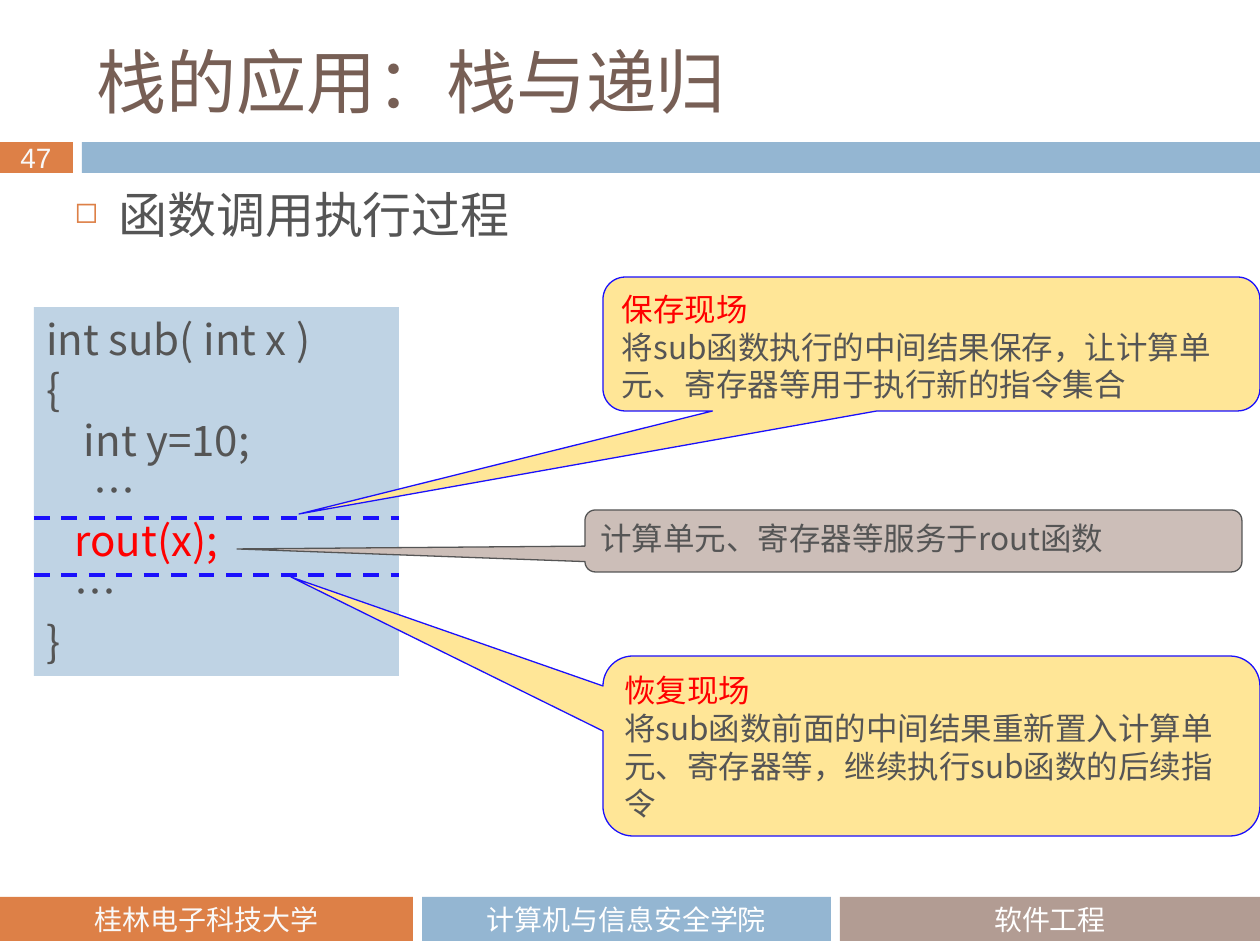
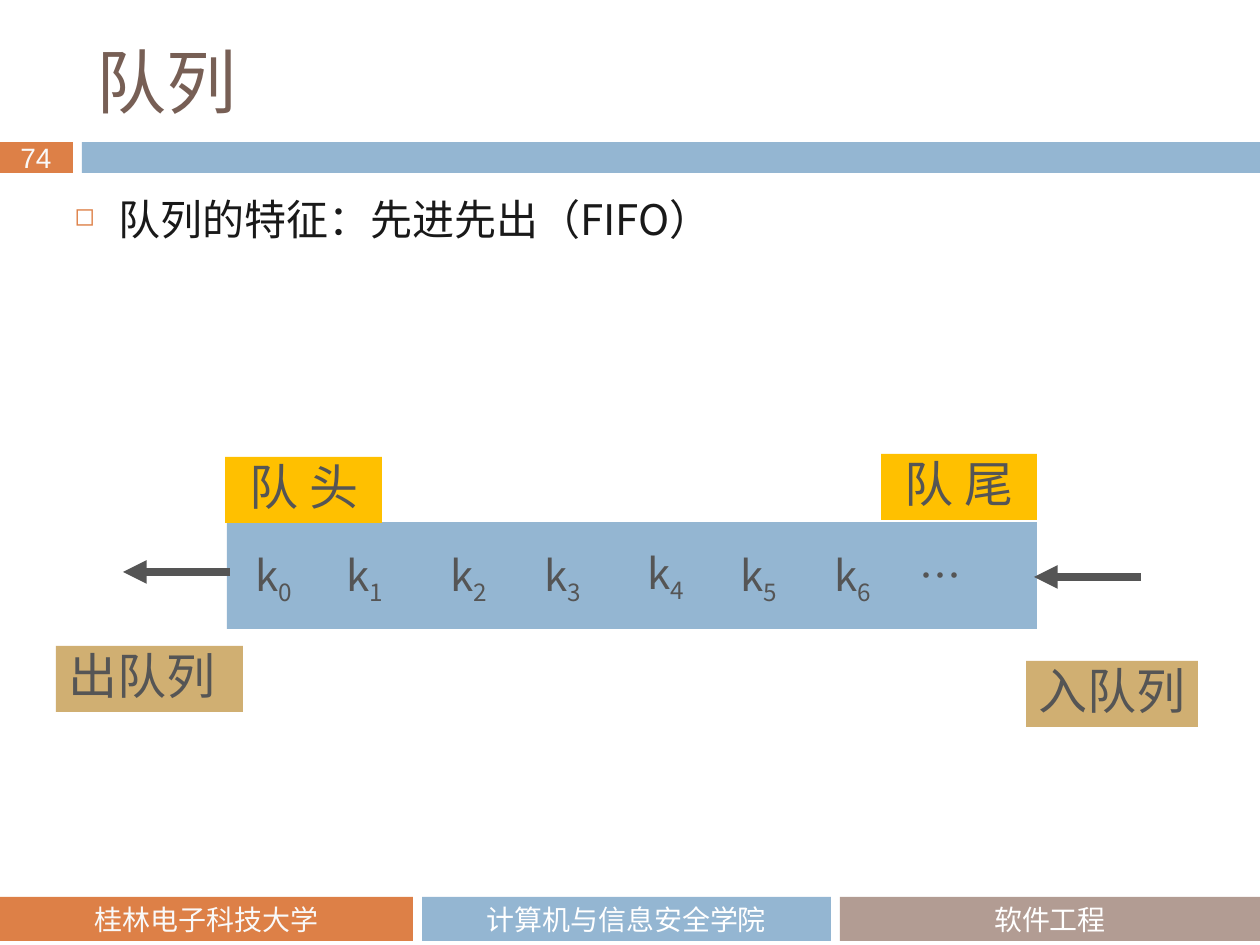
from lxml import etree
from pptx import Presentation
from pptx.dml.color import RGBColor
from pptx.enum.dml import MSO_LINE
from pptx.enum.shapes import MSO_CONNECTOR, MSO_SHAPE
from pptx.enum.text import MSO_ANCHOR, PP_ALIGN
from pptx.oxml.ns import qn
from pptx.util import Emu, Pt

# Shared style
ORANGE = RGBColor(0xDD, 0x80, 0x47)
BLUE = RGBColor(0x94, 0xB6, 0xD2)
PALE_BLUE = RGBColor(0xBF, 0xD3, 0xE4)
TAUPE = RGBColor(0xB2, 0x9C, 0x93)
PALE_TAUPE = RGBColor(0xCC, 0xBE, 0xB8)
BROWN = RGBColor(0x77, 0x5F, 0x55)
YELLOW = RGBColor(0xFF, 0xE6, 0x97)
GOLD = RGBColor(0xFF, 0xC0, 0x00)
SAND = RGBColor(0xD0, 0xAF, 0x72)
INK_BLUE = RGBColor(0x1B, 0x10, 0xFC)
RED = RGBColor(0xFF, 0x00, 0x00)
GREY = RGBColor(0x55, 0x55, 0x55)
BLACK = RGBColor(0x19, 0x19, 0x19)
WHITE = RGBColor(0xFF, 0xFF, 0xFF)
OFF_WHITE = RGBColor(0xF9, 0xF9, 0xF9)

BODY_FONT = "Noto Sans CJK SC"
TITLE_FONT = "Noto Sans CJK JP"
FOOTER_FONT = "Calibri"
NUMBER_FONT = "Arial"

SLIDE_WIDTH, SLIDE_HEIGHT = 1260, 945
EMU_PER_PX = 914400 / 126

# Shared content: left, width, fill, text, text colour
FOOTERS = [
    (0, 413, ORANGE, "桂林电子科技大学", OFF_WHITE),
    (422, 409, BLUE, "计算机与信息安全学院", WHITE),
    (840, 420, TAUPE, "软件工程", WHITE),
]

# Recursion slide
CODE_LINES = [
    ("int sub( int x )", GREY),
    ("{", GREY),
    ("    int y=10;", GREY),
    ("     …", GREY),
    ("   rout(x);", RED),
    ("   …", GREY),
    ("}", GREY),
]
CODE_BOX = (34, 307, 365, 369)
CALL_BOUNDARIES = [518, 575]
# Box, pointer tip, fill, line, paragraphs
CALLOUTS = [
    ((603, 277, 657, 134), (299, 514), YELLOW, INK_BLUE,
     [("保存现场", RED),
      ("将sub函数执行的中间结果保存，让计算单元、寄存器等用于执行新的指令集合", GREY)]),
    ((603, 656, 657, 180), (291, 577), YELLOW, INK_BLUE,
     [("恢复现场", RED),
      ("将sub函数前面的中间结果重新置入计算单元、寄存器等，继续执行sub函数的后续指令", GREY)]),
    ((585, 510, 657, 62), (237, 549), PALE_TAUPE, GREY,
     [("计算单元、寄存器等服务于rout函数", GREY)]),
]

# Queue slide
QUEUE_BOX = (227, 522, 810, 107)
# Left, top, base, subscript
QUEUE_ITEMS = [
    (243, 543, "k", "0"),
    (334, 543, "k", "1"),
    (438, 543, "k", "2"),
    (532, 543, "k", "3"),
    (635, 541, "k", "4"),
    (728, 543, "k", "5"),
    (822, 543, "k", "6"),
    (907, 543, "…", ""),
]
QUEUE_LABELS = [
    ((225, 457, 157, 66), GOLD, "队 头", PP_ALIGN.CENTER),
    ((881, 454, 156, 66), GOLD, "队 尾", PP_ALIGN.CENTER),
    ((1026, 661, 172, 66), SAND, "入队列", PP_ALIGN.LEFT),
    ((56, 646, 187, 66), SAND, "出队列", PP_ALIGN.LEFT),
]
# Start x, end x, y
QUEUE_ARROWS = [(230, 123, 572), (1141, 1034, 577)]


# Drawing helpers
def px(*lengths):
    return [Emu(round(length * EMU_PER_PX)) for length in lengths]


def format_run(run, size, color, font=BODY_FONT):
    run.font.size = Pt(size)
    run.font.color.rgb = color
    run.font.name = font
    etree.SubElement(run.font._element, qn("a:ea"), typeface=font)


def write(shape, lines, size, font=BODY_FONT, align=PP_ALIGN.LEFT, anchor=MSO_ANCHOR.TOP):
    frame = shape.text_frame
    frame.text = "\n".join(text for text, _ in lines)
    frame.vertical_anchor = anchor
    for paragraph, (_, color) in zip(frame.paragraphs, lines):
        paragraph.alignment = align
        for run in paragraph.runs:
            format_run(run, size, color, font)


def add_box(slide, box, fill, line=None, preset=MSO_SHAPE.RECTANGLE):
    shape = slide.shapes.add_shape(preset, *px(*box))
    shape.shadow.inherit = False
    shape.fill.solid()
    shape.fill.fore_color.rgb = fill
    if line is None:
        shape.line.fill.background()
    else:
        shape.line.color.rgb = line
        shape.line.width = Pt(0.75)
    return shape


def add_text_box(slide, box, wrap=False):
    shape = slide.shapes.add_textbox(*px(*box))
    shape.text_frame.word_wrap = wrap
    return shape


def add_line(slide, start, end, color, width):
    line = slide.shapes.add_connector(MSO_CONNECTOR.STRAIGHT, *px(*start, *end))
    line.line.color.rgb = color
    line.line.width = Pt(width)
    etree.SubElement(line._element.spPr, qn("a:effectLst"))
    return line


def add_callout(slide, box, tip, fill, line, lines):
    left, top, width, height = box
    shape = add_box(slide, box, fill, line, MSO_SHAPE.ROUNDED_RECTANGULAR_CALLOUT)
    shape.adjustments[0] = (tip[0] - left - width / 2) / width
    shape.adjustments[1] = (tip[1] - top - height / 2) / height
    write(shape, lines, 18)


def add_bullet(slide, text, size, color):
    shape = add_text_box(slide, (62, 185, 1124, 93), wrap=True)
    shape.text_frame.text = text
    paragraph = shape.text_frame.paragraphs[0]
    properties = paragraph._p.get_or_add_pPr()
    indent = px(44)[0]
    properties.set("marL", str(indent))
    properties.set("indent", str(-indent))
    bullet_color = etree.SubElement(properties, qn("a:buClr"))
    etree.SubElement(bullet_color, qn("a:srgbClr"), val=str(ORANGE))
    etree.SubElement(properties, qn("a:buSzPct"), val="60000")
    etree.SubElement(properties, qn("a:buChar"), char="◻")
    paragraph.line_spacing = Pt(30)
    format_run(paragraph.runs[0], size, color)


def add_base_slide(presentation, title, number):
    slide = presentation.slides.add_slide(presentation.slide_layouts[5])
    heading = slide.shapes.title
    heading.left, heading.top, heading.width, heading.height = px(84, 32, 1124, 98)
    write(heading, [(title, BROWN)], 40, TITLE_FONT, anchor=MSO_ANCHOR.MIDDLE)

    # Band with the slide number
    add_box(slide, (0, 142, 73, 31), ORANGE)
    add_box(slide, (82, 142, 1178, 31), BLUE)
    write(add_text_box(slide, (8, 134, 60, 47)), [(number, OFF_WHITE)], 16, NUMBER_FONT)

    # Footer
    for left, width, fill, text, color in FOOTERS:
        footer = add_box(slide, (left, 897, width, 44), fill)
        write(footer, [(text, color)], 16, FOOTER_FONT, PP_ALIGN.CENTER, MSO_ANCHOR.MIDDLE)
    return slide


# Slides
def build_recursion_slide(presentation):
    slide = add_base_slide(presentation, "栈的应用：栈与递归", "47")
    add_bullet(slide, "函数调用执行过程", 28, GREY)
    write(add_box(slide, CODE_BOX, PALE_BLUE), CODE_LINES, 24)
    left, _, width, _ = CODE_BOX
    for y in CALL_BOUNDARIES:
        boundary = add_line(slide, (left, y), (left + width, y), INK_BLUE, 2.25)
        boundary.line.dash_style = MSO_LINE.DASH
    for callout in CALLOUTS:
        add_callout(slide, *callout)


def build_queue_slide(presentation):
    slide = add_base_slide(presentation, "队列", "74")
    add_bullet(slide, "队列的特征：先进先出（FIFO）", 24, BLACK)
    add_box(slide, QUEUE_BOX, BLUE)
    for left, top, base, subscript in QUEUE_ITEMS:
        item = add_text_box(slide, (left, top, 69, 63))
        write(item, [(base, GREY)], 24)
        if subscript:
            run = item.text_frame.paragraphs[0].add_run()
            run.text = subscript
            format_run(run, 24, GREY)
            run.font._element.set("baseline", "-25000")
    for box, fill, text, align in QUEUE_LABELS:
        label = add_box(slide, box, fill)
        write(label, [(text, GREY)], 28, align=align)
        label.text_frame.paragraphs[0].line_spacing = Pt(30)
    for start, end, y in QUEUE_ARROWS:
        arrow = add_line(slide, (start, y), (end, y), GREY, 4.5)
        etree.SubElement(arrow.line._get_or_add_ln(), qn("a:tailEnd"), type="triangle")


def main():
    presentation = Presentation()
    presentation.slide_width, presentation.slide_height = px(SLIDE_WIDTH, SLIDE_HEIGHT)
    build_recursion_slide(presentation)
    build_queue_slide(presentation)
    presentation.save("out.pptx")


if __name__ == "__main__":
    main()
